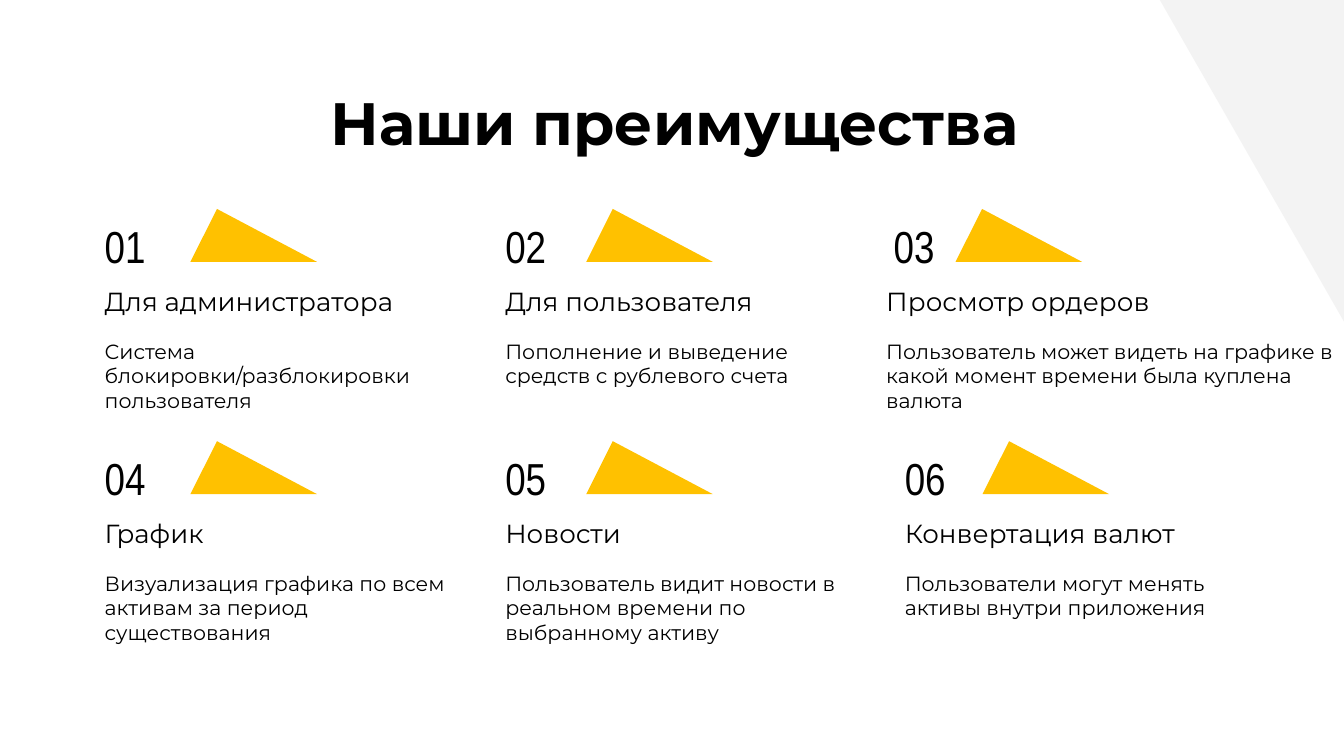
from dataclasses import dataclass

from pptx import Presentation
from pptx.dml.color import RGBColor
from pptx.enum.shapes import MSO_SHAPE
from pptx.enum.text import MSO_ANCHOR, PP_ALIGN
from pptx.util import Cm, Pt


@dataclass(frozen=True)
class Theme:
    ink: str = "000000"
    gold: str = "FFC100"
    pale: str = "F3F3F3"
    face: str = "Montserrat"
    slim: str = "Arial Narrow"
    title: int = 32
    count: int = 24
    head: int = 14
    body: int = 11


theme = Theme()
deck = Presentation()
deck.slide_width, deck.slide_height = Cm(25.4), Cm(14.29)
slide = deck.slides.add_slide(deck.slide_layouts[6])


def add_text(text, left, top, width, height, size, face=theme.face):
    """Add a one-paragraph text box, measured in cm, and return it."""
    box = slide.shapes.add_textbox(Cm(left), Cm(top), Cm(width), Cm(height))
    frame = box.text_frame
    frame.word_wrap = True
    frame.margin_left = frame.margin_right = Cm(0.25)
    frame.margin_top = frame.margin_bottom = Cm(0.25)
    frame.text = text
    font = frame.paragraphs[0].runs[0].font
    font.name, font.size = face, Pt(size)
    font.color.rgb = RGBColor.from_string(theme.ink)
    return box


def add_shape(kind, left, top, width, height, color):
    """Add a plain filled shape, measured in cm, and return it."""
    shape = slide.shapes.add_shape(kind, Cm(left), Cm(top), Cm(width), Cm(height))
    shape.shadow.inherit = False
    shape.fill.solid()
    shape.fill.fore_color.rgb = RGBColor.from_string(color)
    shape.line.fill.background()
    return shape


# Corner and title
corner = add_shape(MSO_SHAPE.RIGHT_TRIANGLE, 21.92, 0, 3.48, 6.08, theme.pale)
corner.rotation = 180

title = add_text("Наши преимущества", 1.5, 1.37, 22.5, 1.6, theme.title)
line = title.text_frame.paragraphs[0]
line.alignment = PP_ALIGN.CENTER
line.runs[0].font.bold = True

# Benefits: heading, body, body width, then left edges of text, number, wedge
items = [
    ("Для администратора", "Система блокировки/разблокировки пользователя",
     7.57, 1.73, 1.73, 3.6),
    ("Для пользователя", "Пополнение и выведение средств с рублевого счета",
     7.21, 9.3, 9.3, 11.08),
    ("Просмотр ордеров",
     "Пользователь может видеть на графике в какой момент времени была куплена валюта",
     9.5, 16.5, 16.64, 18.06),
    ("График", "Визуализация графика по всем активам за период существования",
     7.21, 1.73, 1.73, 3.6),
    ("Новости", "Пользователь видит новости в реальном времени по выбранному активу",
     7.21, 9.3, 9.3, 11.08),
    ("Конвертация валют", "Пользователи могут менять активы внутри приложения",
     7.21, 16.85, 16.85, 18.57),
]

for index, (head, body, width, left, count_left, wedge_left) in enumerate(items):
    top = 3.95 + index // 3 * 4.39
    wedge = add_shape(MSO_SHAPE.ISOSCELES_TRIANGLE, wedge_left, top, 2.39, 1,
                      theme.gold)
    wedge.adjustments[0] = 0.21
    count = add_text(f"{index + 1:02}", count_left, top + 0.19, 3, 1,
                     theme.count, theme.slim)
    count.text_frame.vertical_anchor = MSO_ANCHOR.MIDDLE
    add_text(head, left, top + 1.19, 6, 1, theme.head)
    add_text(body, left, top + 2.2, width, 1, theme.body)

deck.save("out.pptx")
